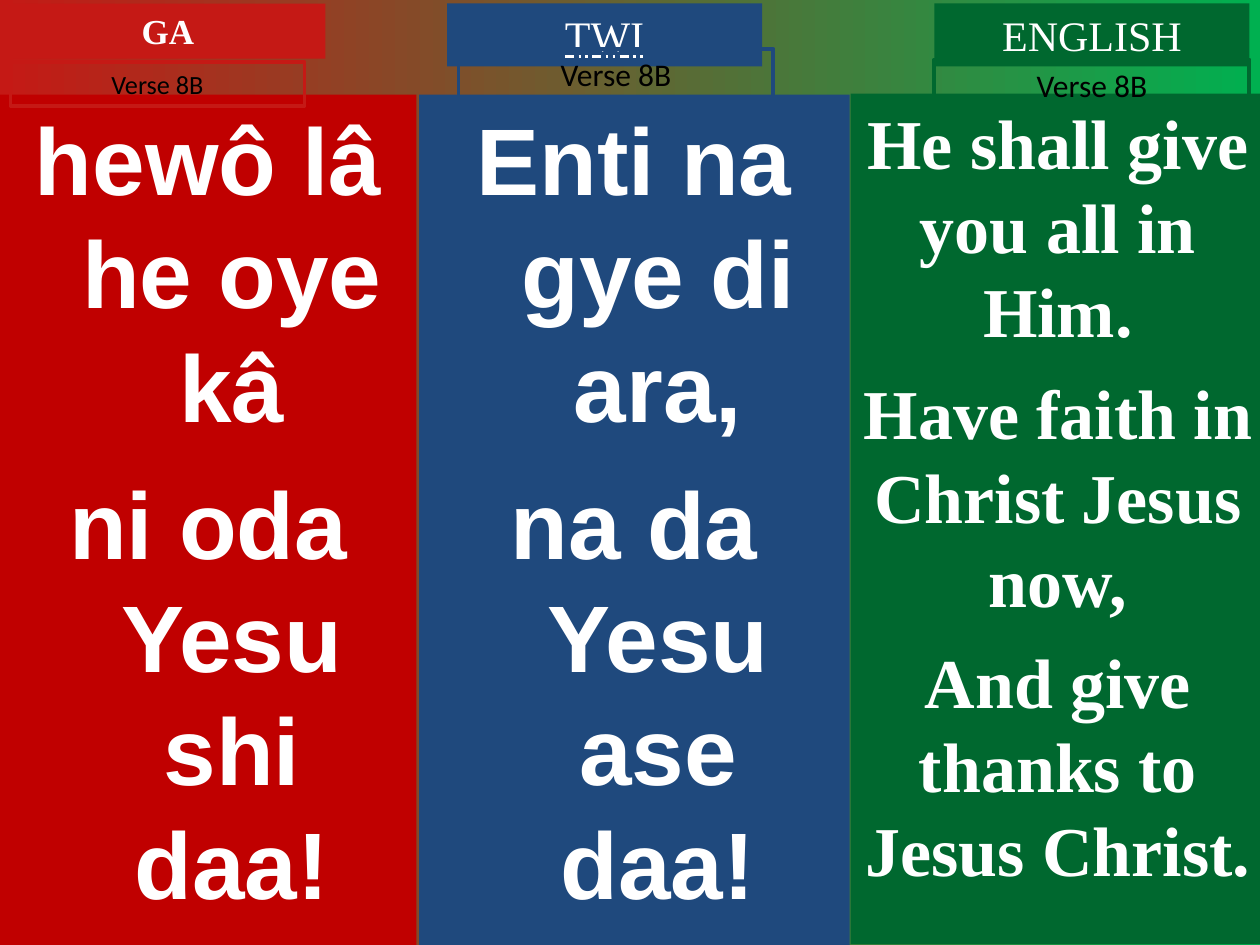
from pptx import Presentation
from pptx.dml.color import RGBColor
from pptx.enum.shapes import MSO_SHAPE
from pptx.enum.text import MSO_ANCHOR, MSO_AUTO_SIZE, MSO_UNDERLINE, PP_ALIGN
from pptx.util import Pt

RECTANGLE = MSO_SHAPE.RECTANGLE
TOP = MSO_ANCHOR.TOP
CENTER = PP_ALIGN.CENTER
GROW = MSO_AUTO_SIZE.SHAPE_TO_FIT_TEXT
FIXED = MSO_AUTO_SIZE.NONE
DOT_DOT_DASH = MSO_UNDERLINE.DOT_DOT_DASH_LINE

RED, BLUE, GREEN = "C51915", "1F497D", "00682F"
WHITE, BLACK = "FFFFFF", "000000"
SANS, SERIF, LABEL = "Arial", "Times New Roman", "Calibri"


def color(hex_string):
    return RGBColor.from_string(hex_string)


class VerseSlide:
    line_ratio = 1.2
    hanging_indent = Pt(27)

    def __init__(self, presentation):
        self.slide = presentation.slides.add_slide(presentation.slide_layouts[6])

    def background(self, start, end):
        fill = self.slide.background.fill
        fill.gradient()
        fill.gradient_angle = 0
        for stop, shade in zip(fill.gradient_stops, (start, end)):
            stop.color.rgb = color(shade)

    def box(self, place, lines, size, font, text_color, bold=False, auto_size=GROW):
        """Add a plain rectangle with one centred paragraph per line."""
        shape = self.slide.shapes.add_shape(RECTANGLE, *map(Pt, place))
        shape.shadow.inherit = False
        shape.fill.background()
        shape.line.fill.background()
        text_frame = shape.text_frame
        text_frame.word_wrap = True
        text_frame.vertical_anchor = TOP
        text_frame.auto_size = auto_size
        text_frame.text = "\n".join(lines)
        for paragraph in text_frame.paragraphs:
            paragraph.alignment = CENTER
            paragraph.font.size = Pt(size)
            paragraph.font.name = font
            paragraph.font.bold = bold
            paragraph.font.color.rgb = color(text_color)
        return shape

    def fill(self, shape, shade):
        shape.fill.solid()
        shape.fill.fore_color.rgb = color(shade)

    def column(self, place, shade, lines, size, font, gap, hanging=False):
        shape = self.box(place, lines, size, font, WHITE, True, FIXED)
        self.fill(shape, shade)
        for index, paragraph in enumerate(shape.text_frame.paragraphs):
            paragraph.line_spacing = Pt(size * self.line_ratio)
            if index:
                paragraph.space_before = Pt(gap)
            if hanging:
                properties = paragraph._p.get_or_add_pPr()
                properties.set("marL", str(self.hanging_indent))
                properties.set("indent", str(-self.hanging_indent))

    def language(self, place, shade, name, size, bold=False, underline=None):
        shape = self.box(place, [name], size, SERIF, WHITE, bold)
        self.fill(shape, shade)
        paragraph = shape.text_frame.paragraphs[0]
        if underline:
            paragraph.font.underline = underline
        else:
            paragraph.line_spacing = Pt(size * self.line_ratio)

    def verse(self, place, shade, size):
        shape = self.box(place, ["Verse 8B"], size, LABEL, BLACK)
        shape.line.color.rgb = color(shade)
        shape.line.width = Pt(2.25)


def main():
    presentation = Presentation()
    presentation.slide_width, presentation.slide_height = Pt(720), Pt(540)
    slide = VerseSlide(presentation)
    slide.background(RED, "00B050")

    slide.column((0, 54, 238, 486), "C00000",
                 ["hewô lâ he oye kâ", "ni oda Yesu shi daa!"], 54, SANS, 13.5, True)
    slide.column((239.5, 54, 246, 486), BLUE,
                 ["Enti na gye di ara,", "na da Yesu ase daa!"], 54, SANS, 13.5, True)
    slide.language((6, 2, 180, 31.5), RED, "GA", 20, bold=True)
    slide.language((255.5, 2, 180, 36), BLUE, "TWI", 24, underline=DOT_DOT_DASH)
    slide.verse((6, 35.5, 168, 25), RED, 15)
    slide.verse((262, 28, 180, 29), BLUE, 18)
    slide.column((486, 53.5, 237, 486), GREEN,
                 ["He shall give you all in Him.", "Have faith in Christ Jesus now,",
                  "And give thanks to Jesus Christ."], 40, SERIF, 10)
    slide.language((534, 2, 180, 36), GREEN, "ENGLISH", 24)
    slide.verse((534, 34, 180, 29), GREEN, 18)
    presentation.save("out.pptx")


if __name__ == "__main__":
    main()
